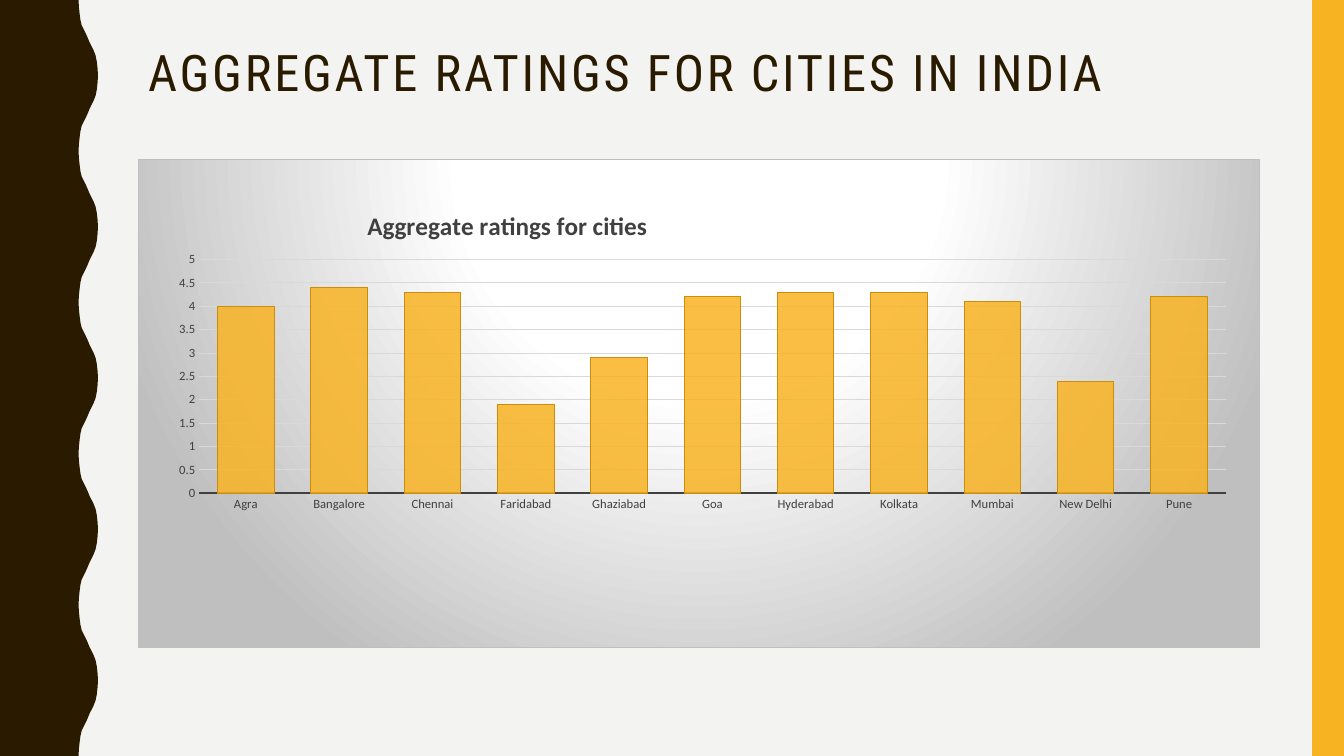
import pptx
import pptx.chart.data
import pptx.dml.color
import pptx.enum.chart
import pptx.enum.text
import pptx.oxml
import pptx.oxml.ns
import pptx.util
from pptx.util import Cm, Pt

HUES = {
    "back": "F3F3F2", "dark": "2A1A00", "gold": "F8B323", "edge": "CE8D07",
    "text": "404040", "grid": "D9D9D9", "gray": "BFBFBF", "white": "FFFFFF",
}
WIDE, HIGH = 33.87, 19.05
LEFT, SPAN = 3.48, 28.27

# Half of one wave: (down, across) in cm
WAVE = [
    (0, 1.98), (0.18, 1.99), (0.36, 2.01), (0.51, 2.03), (0.64, 2.06),
    (0.74, 2.11), (0.84, 2.16), (0.95, 2.21), (1.07, 2.26), (1.17, 2.31),
    (1.27, 2.36), (1.4, 2.41), (1.55, 2.44), (1.73, 2.46), (1.9, 2.47),
]
STEP = 3.81

RATES = {
    "Agra": 4, "Bangalore": 4.4, "Chennai": 4.3, "Faridabad": 1.9,
    "Ghaziabad": 2.9, "Goa": 4.2, "Hyderabad": 4.3, "Kolkata": 4.3,
    "Mumbai": 4.1, "New Delhi": 2.4, "Pune": 4.2,
}
SPACES = pptx.oxml.ns.nsdecls("c", "a")
qn = pptx.oxml.ns.qn


def hue(name):
    return pptx.dml.color.RGBColor.from_string(HUES[name])


def layout(host, index, **parts):
    """Give a chart part a fixed place, as shares of the chart."""
    for old in host.findall(qn("c:layout")):
        host.remove(old)
    modes = '<c:xMode val="edge"/><c:yMode val="edge"/>'
    if "w" in parts:
        modes = '<c:layoutTarget val="inner"/>' + modes
    sizes = "".join(f'<c:{key} val="{val}"/>' for key, val in parts.items())
    host.insert(index, pptx.oxml.parse_xml(
        f"<c:layout {SPACES}><c:manualLayout>{modes}{sizes}"
        "</c:manualLayout></c:layout>"))


class Deck:
    def __init__(self):
        self.show = pptx.Presentation()
        self.show.slide_width, self.show.slide_height = Cm(WIDE), Cm(HIGH)
        self.slide = self.show.slides.add_slide(self.show.slide_layouts[5])
        fill = self.slide.background.fill
        fill.solid()
        fill.fore_color.rgb = hue("back")

    def paint(self, shape, name):
        shape.shadow.inherit = False
        shape.fill.solid()
        shape.fill.fore_color.rgb = hue(name)
        shape.line.fill.background()

    def line(self, line, name, width):
        line.color.rgb = hue(name)
        line.width = Pt(width)

    def font(self, font, size, face, name, bold=False):
        font.size, font.name, font.bold = Pt(size), face, bold
        font.color.rgb = hue(name)

    def band(self, left, top, width, height, name):
        shape = self.slide.shapes.add_shape(
            pptx.enum.shapes.MSO_SHAPE.RECTANGLE,
            Cm(left), Cm(top), Cm(width), Cm(height))
        self.paint(shape, name)

    def wave(self, count, name):
        cycle = WAVE + [(STEP - y, x) for y, x in reversed(WAVE)]
        edge = [(Cm(x), Cm(y + i * STEP))
                for i in range(count) for y, x in cycle]
        build = self.slide.shapes.build_freeform(0, 0, 1.0)
        build.add_line_segments(edge + [(0, Cm(HIGH))], close=True)
        self.paint(build.convert_to_shape(), name)

    def title(self, text, left, top, width, height):
        shape = self.slide.shapes.title
        shape.left, shape.top = Cm(left), Cm(top)
        shape.width, shape.height = Cm(width), Cm(height)
        frame = shape.text_frame
        frame.word_wrap = True
        frame.auto_size = pptx.enum.text.MSO_AUTO_SIZE.NONE
        frame.vertical_anchor = pptx.enum.text.MSO_ANCHOR.TOP
        para = frame.paragraphs[0]
        para.alignment = pptx.enum.text.PP_ALIGN.LEFT
        para.line_spacing = 0.9
        run = para.add_run()
        run.text = text
        self.font(run.font, 36, "Roboto Condensed", "dark")
        run.font._element.set("spc", "200")

    def chart(self, head, rates, left, top, width, height):
        data = pptx.chart.data.CategoryChartData()
        data.categories = list(rates)
        data.add_series("Series 1", list(rates.values()))
        chart = self.slide.shapes.add_chart(
            pptx.enum.chart.XL_CHART_TYPE.COLUMN_CLUSTERED,
            Cm(left), Cm(top), Cm(width), Cm(height), data).chart
        chart.has_legend = False
        self.font(chart.font, 10, "Calibri", "text")

        # Heading
        chart.has_title = True
        run = chart.chart_title.text_frame.paragraphs[0].add_run()
        run.text = head
        self.font(run.font, 18, "Calibri", "text", True)
        layout(chart.chart_title._element, 1, x=0.2, y=0.09)

        # Bars
        plot = chart.plots[0]
        plot.gap_width = 65
        plot.vary_by_categories = False
        bars = plot.series[0].format
        bars.fill.solid()
        bars.fill.fore_color.rgb = hue("gold")
        tint = plot.series[0]._element.find(".//" + qn("a:srgbClr"))
        tint.append(pptx.oxml.parse_xml(f'<a:alpha {SPACES} val="85000"/>'))
        self.line(bars.line, "edge", 0.75)

        # Axes
        for axis in (chart.category_axis, chart.value_axis):
            axis.major_tick_mark = pptx.enum.chart.XL_TICK_MARK.NONE
            axis.minor_tick_mark = pptx.enum.chart.XL_TICK_MARK.NONE
            self.font(axis.tick_labels.font, 9, "Calibri", "text")
        self.line(chart.category_axis.format.line, "text", 1.5)
        scale = chart.value_axis
        scale.minimum_scale, scale.maximum_scale = 0, 5
        scale.major_unit = 0.5
        scale.format.line.fill.background()
        scale.has_major_gridlines = True
        self.line(scale.major_gridlines.format.line, "grid", 0.75)

        # Plot area and backdrop
        space = chart._chartSpace
        layout(space.find(".//" + qn("c:plotArea")), 0,
               x=0.054, y=0.205, w=0.916, h=0.479)
        stops = "".join(
            f'<a:gs pos="{pos}000"><a:srgbClr val="{HUES[name]}"/></a:gs>'
            for pos, name in ((0, "white"), (39, "white"), (100, "gray")))
        space.find(qn("c:txPr")).addprevious(pptx.oxml.parse_xml(
            f"<c:spPr {SPACES}><a:gradFill><a:gsLst>{stops}</a:gsLst>"
            '<a:path path="circle"><a:fillToRect l="50000" t="-80000" '
            'r="50000" b="180000"/></a:path></a:gradFill>'
            f'<a:ln w="{Pt(0.75)}"><a:solidFill><a:srgbClr '
            f'val="{HUES["gray"]}"/></a:solidFill></a:ln></c:spPr>'))


def main():
    deck = Deck()
    # Side trim
    deck.wave(5, "dark")
    deck.band(WIDE - 0.8, 0, 0.8, HIGH, "gold")
    # Content
    deck.title("AGGREGATE RATINGS FOR CITIES IN INDIA",
               LEFT, 1.07, SPAN, 2.44)
    deck.chart("Aggregate ratings for cities", RATES,
               LEFT, 4.01, SPAN, 12.32)
    deck.show.save("out.pptx")


if __name__ == "__main__":
    main()
